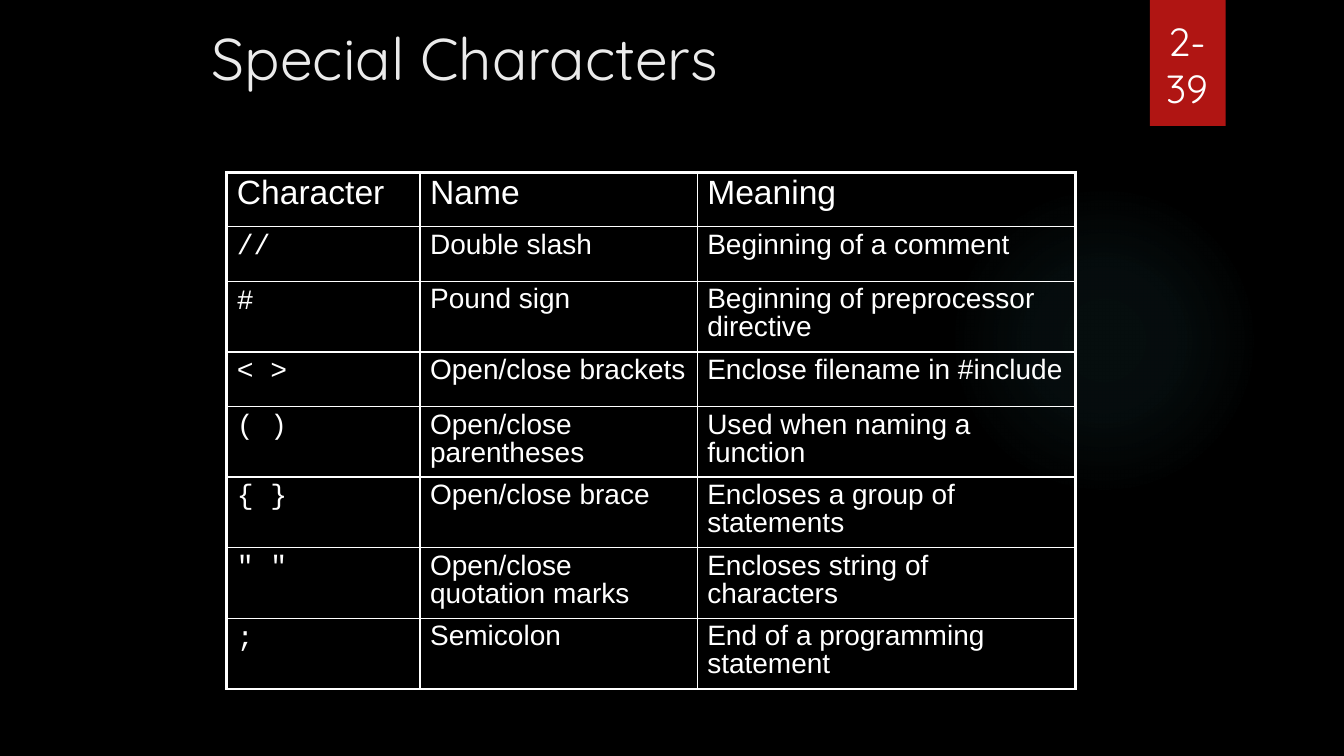
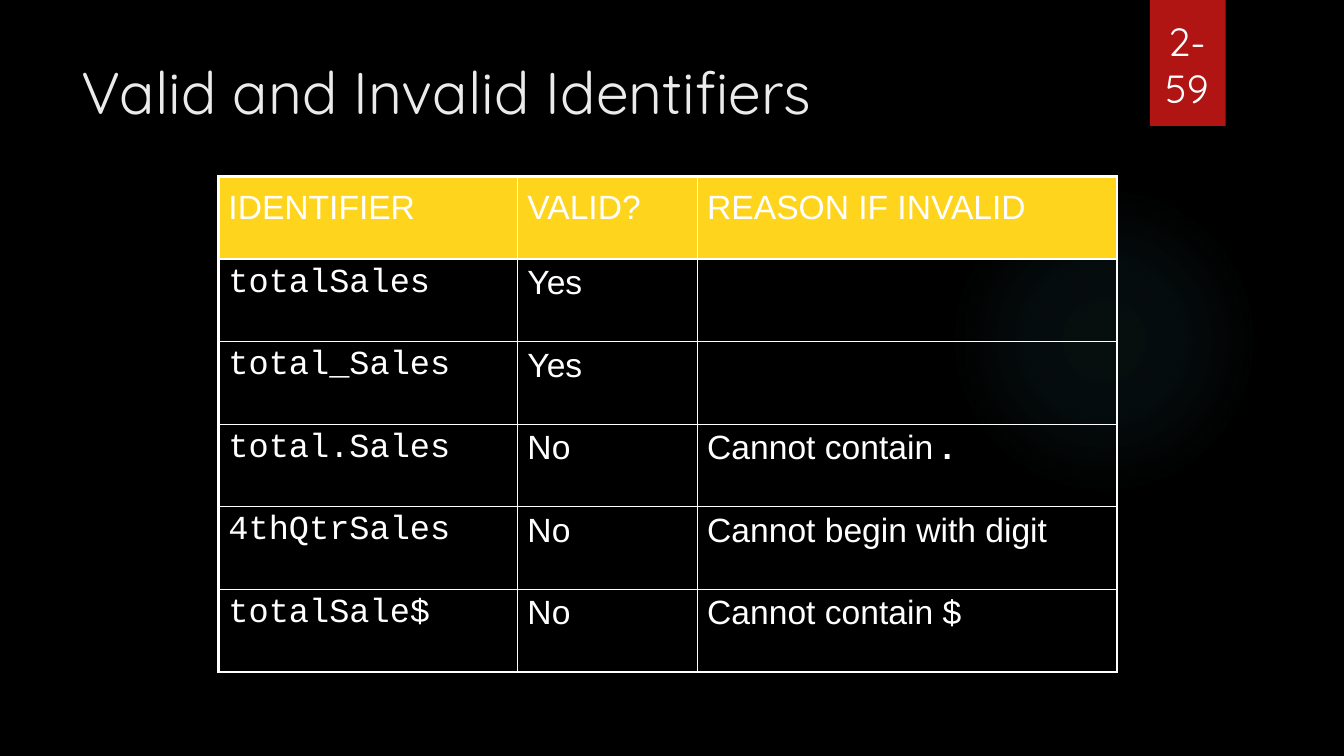
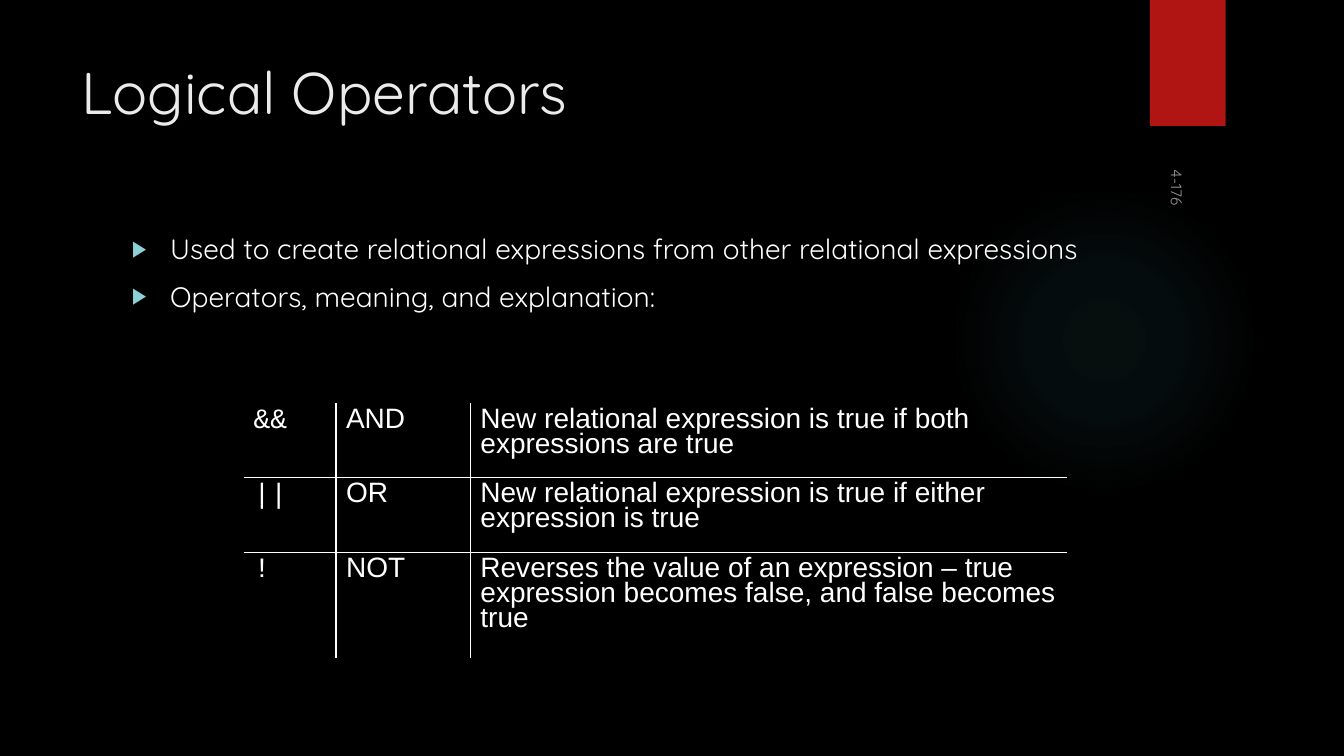
from dataclasses import dataclass

from lxml import etree
from pptx import Presentation
from pptx import util as u
from pptx.dml.color import RGBColor
from pptx.enum import shapes, text
from pptx.oxml import parse_xml
from pptx.oxml.ns import nsdecls, qn


@dataclass(frozen=True)
class Theme:
    background: str = "000000"
    white: str = "FFFFFF"
    title: str = "EBEBEB"
    tag: str = "B01513"
    glow: str = "50B9C1"
    bullet: str = "8AD0D6"
    header: str = "FFD41D"
    display: str = "Quicksand"
    sans: str = "Arial"
    mono: str = "Courier New"
    title_size: int = 42
    number_size: int = 28
    head_size: int = 24
    body_size: int = 20
    small_size: int = 11
    thick: float = 2.25
    thin: float = 1


T = Theme()
COLS, ROWS = 160, 90          # slide grid
CELL = u.Inches(1 / 12)

# Boxes: left, top, width, height in grid cells
TITLE_BOX = (8.5, 6, 123.5, 18.4)
TAG_BOX = (136.9, 0, 9, 15)
GLOW_BOX = (112.9, 22, 37, 37)
NUMBER_BOX = (135.8, 3.8, 11, 10.1)
SIDE_NUMBER_BOX = (133.3, 23.5, 13, 4)


def grid(box):
    return [round(v * CELL) for v in box]


def place(sp, box):
    sp.left, sp.top, sp.width, sp.height = grid(box)


def add_run(p, words, size, font=T.display, color=T.white, bold=None):
    r = p.add_run()
    r.text = words
    r.font.size, r.font.name, r.font.bold = u.Pt(size), font, bold
    r.font.color.rgb = RGBColor.from_string(color)
    return r


def add_child(parent, tag, **attributes):
    return etree.SubElement(parent, qn(tag), attributes)


def add_color(parent, color, alpha=None):
    clr = add_child(parent, "a:srgbClr", val=color)
    if alpha is not None:
        add_child(clr, "a:alpha", val=str(alpha * 1000))


def add_plain_shape(s, kind, box):
    sp = s.shapes.add_shape(kind, *grid(box))
    sp.shadow.inherit = False
    sp.line.fill.background()
    return sp


def add_glow(s):
    sp = add_plain_shape(s, shapes.MSO_SHAPE.OVAL, GLOW_BOX)
    grad = parse_xml(
        f'<a:gradFill {nsdecls("a")}><a:gsLst/><a:path path="circle">'
        '<a:fillToRect l="50000" t="50000" r="50000" b="50000"/></a:path></a:gradFill>')
    for pos, alpha in ((0, 7), (36, 6), (69, 0)):
        add_color(add_child(grad[0], "a:gs", pos=str(pos * 1000)), T.glow, alpha)
    sp.element.spPr.find(qn("a:prstGeom")).addnext(grad)
    return sp


def add_tag(s):
    sp = add_plain_shape(s, shapes.MSO_SHAPE.RECTANGLE, TAG_BOX)
    sp.fill.solid()
    sp.fill.fore_color.rgb = RGBColor.from_string(T.tag)
    shadow = add_child(sp.element.spPr.find(qn("a:effectLst")), "a:outerShdw",
                       blurRad=str(u.Pt(3)), dist=str(u.Pt(2)), dir="5400000")
    add_color(shadow, T.background, 45)
    return sp


def decorate_master(master, s):
    """Draw the shared background parts on s, then move them to the master."""
    fill = master.background.fill
    fill.solid()
    fill.fore_color.rgb = RGBColor.from_string(T.background)
    for i, sp in enumerate((add_glow(s), add_tag(s))):
        sp.element.xpath("p:nvSpPr/p:cNvPr")[0].set("id", str(100 + i))
        master.shapes.element.insert(2 + i, sp.element)


def add_slide(prs, layout, title, box=TITLE_BOX):
    s = prs.slides.add_slide(prs.slide_layouts.get_by_name(layout))
    sp = s.shapes.title
    place(sp, box)
    tf = sp.text_frame
    tf.auto_size, tf.vertical_anchor = text.MSO_AUTO_SIZE.NONE, text.MSO_ANCHOR.TOP
    p = tf.paragraphs[0]
    p.alignment = text.PP_ALIGN.LEFT
    add_run(p, title, T.title_size, color=T.title)
    return s


def add_text_box(s, box):
    sp = s.shapes.add_textbox(*grid(box))
    sp.text_frame.word_wrap = True
    return sp, sp.text_frame.paragraphs[0]


def add_number(s, number):
    sp, p = add_text_box(s, NUMBER_BOX)
    sp.text_frame.vertical_anchor = text.MSO_ANCHOR.BOTTOM
    p.alignment = text.PP_ALIGN.CENTER
    add_run(p, number, T.number_size)


def add_side_number(s, number):
    sp, p = add_text_box(s, SIDE_NUMBER_BOX)
    sp.rotation = 90
    add_run(p, number, T.small_size)
    for clr in sp.element.iter(qn("a:srgbClr")):
        add_child(clr, "a:alpha", val="60000")


def fill_body(s, box, items):
    sp = s.placeholders[1]
    place(sp, box)
    tf = sp.text_frame
    tf.auto_size = text.MSO_AUTO_SIZE.NONE
    for i, item in enumerate(items):
        p = tf.add_paragraph() if i else tf.paragraphs[0]
        pPr = p._p.get_or_add_pPr()
        indent = u.Inches(0.38)
        pPr.set("marL", str(indent))
        pPr.set("indent", str(-indent))
        add_color(add_child(pPr, "a:buClr"), T.bullet)
        add_child(pPr, "a:buSzPct", val="80000")
        add_child(pPr, "a:buFont", typeface=T.sans)
        add_child(pPr, "a:buChar", char="▶")
        p.space_before = u.Pt(10 if i else 0)
        add_run(p, item, T.body_size)


def set_borders(cell, widths):
    """Widths are for left, right, top and bottom; 0 hides the line."""
    tcPr = cell._tc.get_or_add_tcPr()
    for side, width in zip("LRTB", widths):
        ln = add_child(tcPr, f"a:ln{side}", w=str(u.Pt(width)))
        if width:
            add_color(add_child(ln, "a:solidFill"), T.white)
        else:
            add_child(ln, "a:noFill")


def add_table(s, box, cols, heights, rows, size, spacing=None, outer=T.thick,
              header=False, header_fill=None, header_spacing=None):
    """Share the box out by the weights in cols and heights; column one is code.

    A cell is a string, or a list of (words, bold) runs.
    """
    table = s.shapes.add_table(len(rows), len(cols), *grid(box)).table
    table.first_row = table.horz_banding = False
    _, _, width, height = grid(box)
    for col, weight in zip(table.columns, cols):
        col.width = round(width * weight / sum(cols))
    for row, weight in zip(table.rows, heights):
        row.height = round(height * weight / sum(heights))
    last_row, last_col = len(rows) - 1, len(cols) - 1
    for i, row in enumerate(rows):
        is_head = header and i == 0
        for j, content in enumerate(row):
            cell = table.cell(i, j)
            edges = (j == 0, j == last_col, i == 0, i == last_row)
            set_borders(cell, [outer if edge else T.thin for edge in edges])
            if is_head and header_fill:
                cell.fill.solid()
                cell.fill.fore_color.rgb = RGBColor.from_string(header_fill)
            else:
                cell.fill.background()
            p = cell.text_frame.paragraphs[0]
            p.line_spacing = (header_spacing or spacing) if is_head else spacing
            font = T.mono if j == 0 and not is_head else T.sans
            runs = [(content, None)] if isinstance(content, str) else content
            for words, bold in runs:
                if words:
                    add_run(p, words, T.head_size if is_head else size, font, bold=bold)


def special_characters(prs):
    s = add_slide(prs, "Title Only", "Special Characters", (24, 2, 102, 15))
    add_number(s, "2-39")
    rows = [
        ("Character", "Name", "Meaning"),
        ("//", "Double slash", "Beginning of a comment"),
        ("#", "Pound sign", "Beginning of preprocessor directive"),
        ("< >", "Open/close brackets", "Enclose filename in #include"),
        ("( )", "Open/close parentheses", "Used when naming a function"),
        ("{ }", "Open/close brace", "Encloses a group of statements"),
        ('" "', "Open/close quotation marks", "Encloses string of characters"),
        (";", "Semicolon", "End of a programming statement"),
    ]
    low, tall = 6.5, 8.4
    add_table(s, (27, 20.5, 101, 61.5), (23, 33, 45),
              (low, low, tall, low, tall, tall, tall, tall), rows,
              T.body_size, spacing=0.9, header=True)


def identifiers(prs):
    s = add_slide(prs, "Title Only", "Valid and Invalid Identifiers")
    add_number(s, "2-59")
    rows = [
        ("IDENTIFIER", "VALID?", "REASON IF INVALID"),
        ("totalSales", "Yes", ""),
        ("total_Sales", "Yes", ""),
        ("total.Sales", "No", [("Cannot contain ", None), (".", True)]),
        ("4thQtrSales", "No", "Cannot begin with digit"),
        ("totalSale$", "No", "Cannot contain $"),
    ]
    add_table(s, (26, 21, 107, 59), (35.6, 21.4, 50), [1] * len(rows), rows,
              T.head_size, header=True, header_fill=T.header, header_spacing=1.2)


def logical_operators(prs):
    s = add_slide(prs, "Title and Content", "Logical Operators")
    add_side_number(s, "4-176")
    fill_body(s, (14.5, 27, 117.4, 55), [
        "Used to create relational expressions from other relational expressions",
        "Operators, meaning, and explanation:",
    ])
    rows = [
        ("&&", "AND", "New relational expression is true if both expressions are true"),
        ("||", "OR", "New relational expression is true if either expression is true"),
        ("!", "NOT", "Reverses the value of an expression – true expression becomes "
                     "false, and false becomes true"),
    ]
    add_table(s, (29, 48, 98, 30.4), (11, 16, 71), (8.9, 8.9, 12.7), rows,
              T.body_size, spacing=0.8, outer=0)


def main():
    prs = Presentation()
    prs.slide_width, prs.slide_height = COLS * CELL, ROWS * CELL
    for build in (special_characters, identifiers, logical_operators):
        build(prs)
    decorate_master(prs.slide_master, prs.slides[0])
    prs.save("out.pptx")


if __name__ == "__main__":
    main()
